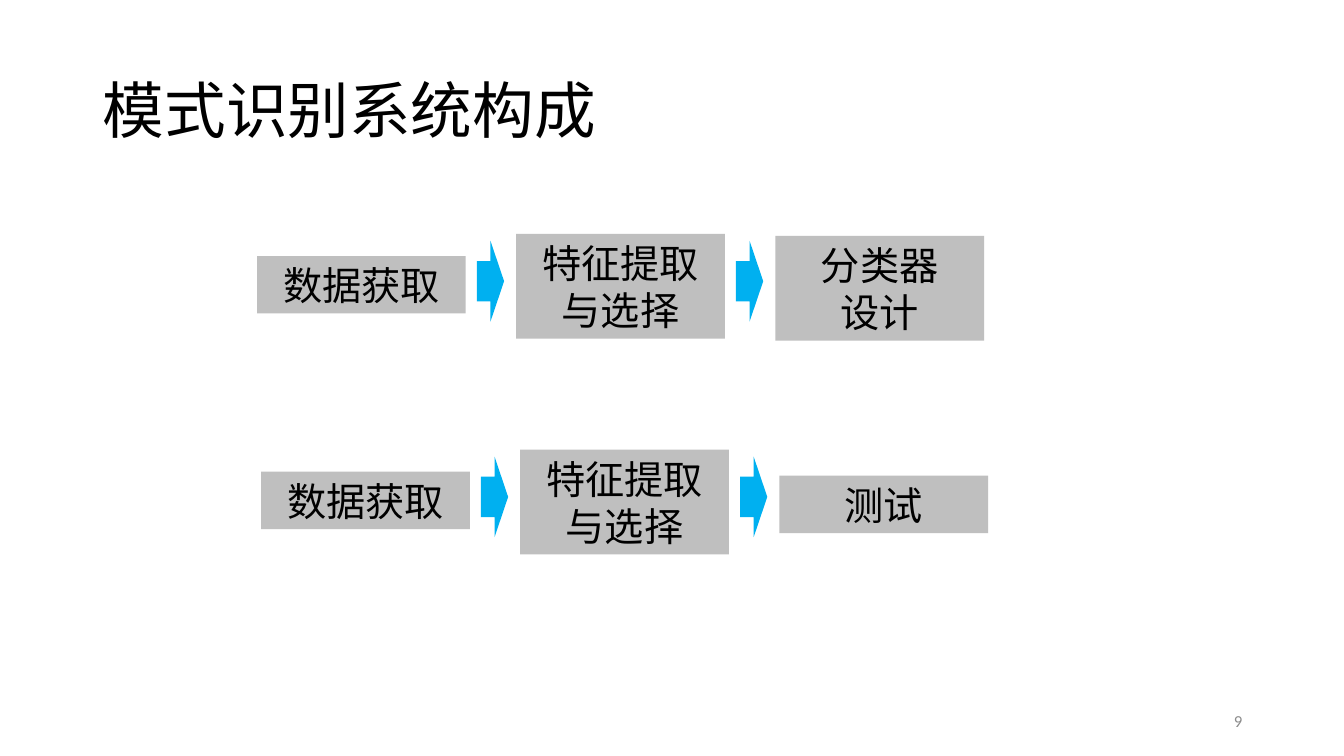
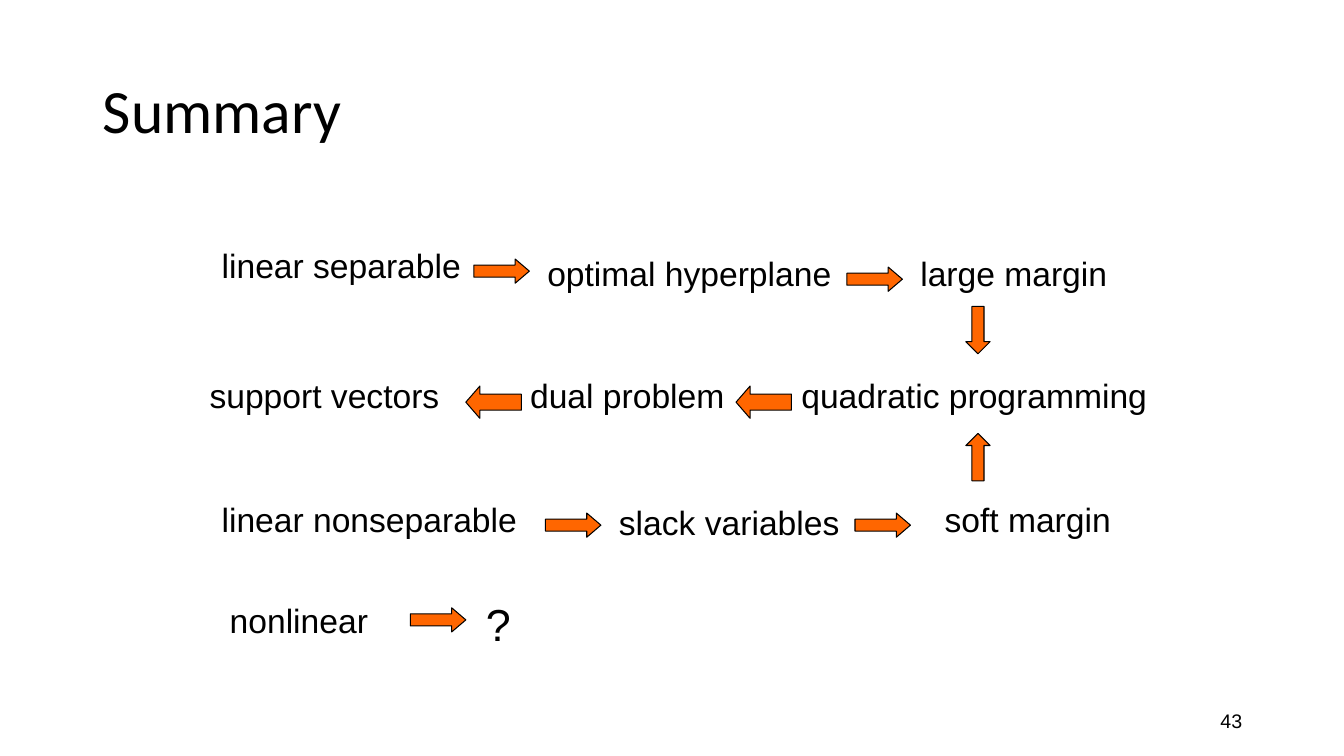
import pptx
import pptx.util
import pptx.dml.color
import pptx.enum.shapes
import pptx.enum.text

PX = 9144
COLORS = {
    "text": "000000",
    "muted": "8C8C8C",
    "stage": "BFBFBF",
    "stage_arrow": "00B0F0",
    "concept_arrow": "FF6600",
}
SHAPES = pptx.enum.shapes.MSO_SHAPE
ALIGN = pptx.enum.text.PP_ALIGN
ANCHOR = pptx.enum.text.MSO_ANCHOR
AUTO_SIZE = pptx.enum.text.MSO_AUTO_SIZE


def px(*lengths):
    return [pptx.util.Emu(length * PX) for length in lengths]


def color(name):
    return pptx.dml.color.RGBColor.from_string(COLORS[name])


def write(box, lines, size, font, tone="text", align=ALIGN.LEFT, anchor=ANCHOR.TOP,
          wrap=True, auto_size=AUTO_SIZE.NONE):
    frame = box.text_frame
    frame.word_wrap = wrap
    frame.auto_size = auto_size
    frame.vertical_anchor = anchor
    frame.text = "\n".join(lines)
    for para in frame.paragraphs:
        para.alignment = align
        para.font.size = pptx.util.Pt(size)
        para.font.name = font
        para.font.color.rgb = color(tone)


def add_page(deck, title, number, number_style):
    page = deck.slides.add_slide(deck.slide_layouts[5])
    heading = page.shapes.title
    heading.left, heading.top, heading.width, heading.height = px(92, 40, 1150, 145)
    write(heading, [title], 44, "Calibri", anchor=ANCHOR.MIDDLE)
    heading.text_frame.paragraphs[0].line_spacing = 0.9
    footer = page.shapes.add_textbox(*px(942, 695, 300, 40))
    write(footer, [number], *number_style, align=ALIGN.RIGHT, anchor=ANCHOR.MIDDLE)
    return page


def add_block(page, kind, bounds, fill, outlined=False, adjust=()):
    block = page.shapes.add_shape(kind, *px(*bounds))
    block.shadow.inherit = False
    block.fill.solid()
    block.fill.fore_color.rgb = color(fill)
    if outlined:
        block.line.color.rgb = color("text")
        block.line.width = pptx.util.Pt(0.75)
    else:
        block.line.fill.background()
    for index, value in enumerate(adjust):
        block.adjustments[index] = value
    return block


def add_pipeline(page, left, middle, stages):
    pitch, width, arrow_height = 257, 207, 80
    for index, lines in enumerate(stages):
        x = left + index * pitch
        height = 57 if len("".join(lines)) < 5 else 104
        top = middle + 2 * (index - 1) - height // 2
        stage = add_block(page, SHAPES.RECTANGLE, (x, top, width, height), "stage")
        write(stage, lines, 28, "Calibri", align=ALIGN.CENTER, anchor=ANCHOR.MIDDLE,
              auto_size=AUTO_SIZE.SHAPE_TO_FIT_TEXT)
        if index < len(stages) - 1:
            arrow = (x + 218, middle - 5 - arrow_height // 2, 27, arrow_height)
            add_block(page, SHAPES.RIGHT_ARROW, arrow, "stage_arrow", adjust=(0.5, 0.5))


def add_concept(page, text, left, top, width, height=50, size=24):
    concept = page.shapes.add_textbox(*px(left, top, width, height))
    write(concept, [text], size, "Arial", wrap=False,
          auto_size=AUTO_SIZE.SHAPE_TO_FIT_TEXT)


def add_concept_arrow(page, direction, left, top):
    kind, width, height, head = {
        "right": (SHAPES.RIGHT_ARROW, 55, 24, 0.585),
        "left": (SHAPES.LEFT_ARROW, 55, 32, 0.435),
        "up": (SHAPES.UP_ARROW, 24, 47, 0.5),
        "down": (SHAPES.DOWN_ARROW, 24, 47, 0.5),
    }[direction]
    add_block(page, kind, (left, top, width, height), "concept_arrow", True, (0.5, head))


def build_system(deck):
    page = add_page(deck, "模式识别系统构成", "9", (12, "Calibri", "muted"))
    shared = [["数据获取"], ["特征提取与选择"]]
    add_pipeline(page, 255, 284, shared + [["分类器", "设计"]])
    add_pipeline(page, 259, 498, shared + [["测试"]])


def build_summary(deck):
    page = add_page(deck, "Summary", "43", (14, "Arial"))
    concepts = [
        ("linear separable", 210, 238, 258),
        ("optimal hyperplane", 533, 246, 307),
        ("large margin", 903, 246, 206),
        ("support vectors", 198, 367, 248),
        ("dual problem", 516, 367, 213),
        ("quadratic programming", 785, 367, 370),
        ("linear nonseparable", 210, 490, 314),
        ("slack variables", 604, 493, 239),
        ("soft margin", 927, 490, 185),
        ("nonlinear", 218, 590, 158),
        ("?", 472, 587, 45, 63, 32),
    ]
    arrows = [
        ("right", 470, 257),
        ("right", 840, 265),
        ("down", 958, 304),
        ("left", 730, 383),
        ("left", 462, 383),
        ("up", 958, 430),
        ("right", 541, 509),
        ("right", 848, 509),
        ("right", 407, 603),
    ]
    for concept in concepts:
        add_concept(page, *concept)
    for arrow in arrows:
        add_concept_arrow(page, *arrow)


def main():
    deck = pptx.Presentation()
    deck.slide_width, deck.slide_height = px(1333, 750)
    build_system(deck)
    build_summary(deck)
    deck.save("out.pptx")


if __name__ == "__main__":
    main()
